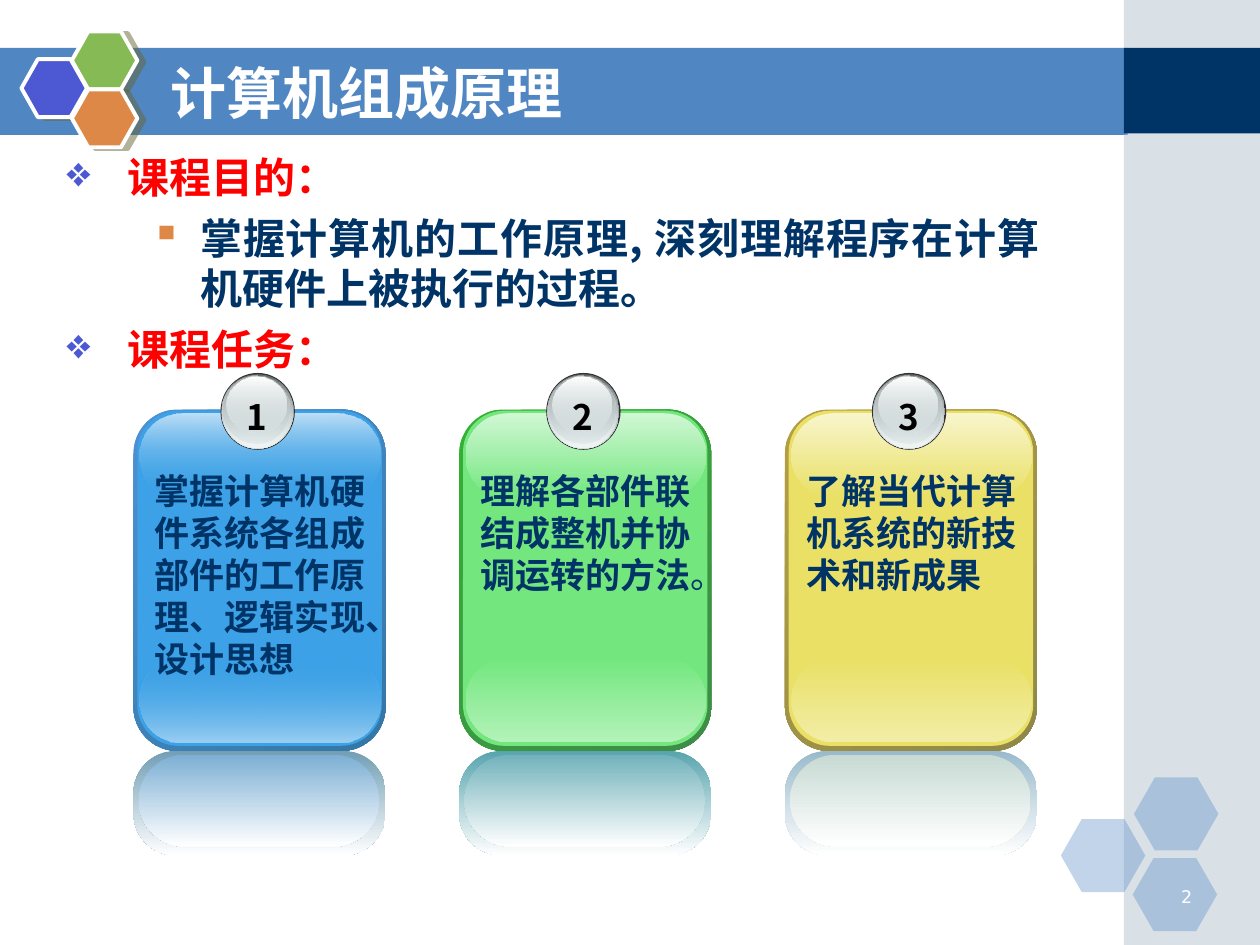
"""Build the course-overview slide with three numbered glossy cards."""
from typing import NamedTuple, Optional

import lxml.etree
import pptx
import pptx.dml.color
import pptx.enum.shapes
import pptx.enum.text
import pptx.oxml.ns
import pptx.util

Inches = pptx.util.Inches
Pt = pptx.util.Pt
qn = pptx.oxml.ns.qn
MSO = pptx.enum.shapes.MSO_SHAPE
ALIGN = pptx.enum.text.PP_ALIGN
ANCHOR = pptx.enum.text.MSO_ANCHOR

CJK = "Noto Sans CJK SC"
COLORS = {
    "white": "FFFFFF", "black": "000000", "navy": "003366", "red": "FF0000",
    "band": "5086C2", "side": "A0B5C4", "indigo": "4C59D2", "green": "85BA54",
    "orange": "DE8848", "shadow": "666633", "rim": "333333", "steel": "636869",
    "silver": "D6E1E2", "pale": "F1F5F5", "gray": "AAB2B3",
}


class Stop(NamedTuple):
    color: str
    alpha: int = 100


class Card(NamedTuple):
    number: str
    text: str
    edge: tuple[str, str]
    face: str
    top: str
    bottom: str
    mirror: tuple[str, str]
    fade: int = 100
    ending: str = ""


class Disc(NamedTuple):
    box: tuple[float, float, float, float]
    stops: tuple[Stop, ...]


class Item(NamedTuple):
    text: str
    color: str
    bullet: str
    bullet_color: str
    margin: float
    hanging: float
    level: int = 0


CARDS = [
    Card("1", "掌握计算机硬件系统各组成部件的工作原理、逻辑实现、设计思想",
         ("4E91D4", "3477A4"), "3CA1E6", "BEE0F7", "9BCFF2", ("729EB4", "7DAFD4"), fade=0),
    Card("2", "理解各部件联结成整机并协调运转的方法",
         ("34B034", "3F8B4A"), "73E77E", "D0F7D4", "B3F2B9", ("58A4AE", "72B2BB"), ending="。"),
    Card("3", "了解当代计算机系统的新技术和新成果",
         ("B59F43", "8F8849"), "E9E065", "F8F5CC", "F2EDA6", ("99BACC", "C8DAD4")),
]
DISCS = [
    Disc((0.69, 2.96, 0.59, 0.61), (Stop(COLORS["rim"]),)),
    Disc((0.7, 2.97, 0.57, 0.59), (Stop(COLORS["steel"]), Stop(COLORS["silver"]))),
    Disc((0.7, 2.97, 0.56, 0.58), (Stop(COLORS["silver"], 0), Stop(COLORS["pale"]))),
    Disc((0.71, 2.98, 0.53, 0.54), (Stop(COLORS["gray"]), Stop(COLORS["silver"], 48))),
    Disc((0.74, 2.99, 0.47, 0.44), (Stop(COLORS["white"]), Stop(COLORS["silver"], 38))),
]
ITEMS = [
    Item("课程目的：", "red", "❖", "indigo", 0.48, 0.48),
    Item("掌握计算机的工作原理, 深刻理解程序在计算机硬件上被执行的过程。",
         "navy", "▪", "orange", 1.06, 0.39, 1),
    Item("课程任务：", "red", "❖", "indigo", 0.48, 0.48),
]
CARD_LEFT, CARD_PITCH = 1.06, 2.585


def rgb(color: str) -> pptx.dml.color.RGBColor:
    return pptx.dml.color.RGBColor.from_string(color)


def add_child(parent, tag: str, **attrs: str):
    return lxml.etree.SubElement(parent, qn(tag), attrs)


def add_shape(s, kind, box, *stops: Stop, angle: int = 90,
              adj: Optional[float] = None, line: Optional[str] = None):
    """Add a preset shape filled with one colour or a two-stop gradient."""
    sp = s.shapes.add_shape(kind, *map(Inches, box))
    sp.shadow.inherit = False
    if adj is not None:
        sp.adjustments[0] = adj
    if len(stops) == 1:
        sp.fill.solid()
        sp.fill.fore_color.rgb = rgb(stops[0].color)
    else:
        sp.fill.gradient()
        sp.fill.gradient_angle = 360 - angle
        for target, stop in zip(sp.fill.gradient_stops, stops):
            target.color.rgb = rgb(stop.color)
    for node, stop in zip(list(sp._element.spPr.iter(qn("a:srgbClr"))), stops):
        if stop.alpha < 100:
            add_child(node, "a:alpha", val=str(stop.alpha * 1000))
    if line:
        sp.line.color.rgb = rgb(line)
        sp.line.width = Pt(2.25)
    else:
        sp.line.fill.background()
    return sp


def add_run(p, text: str, *, size: float = 20, color: str = "navy",
            bold: bool = True, font: str = CJK):
    r = p.add_run()
    r.text = text
    r.font.size, r.font.bold, r.font.name = Pt(size), bold, font
    r.font.color.rgb = rgb(COLORS[color])
    add_child(r._r.get_or_add_rPr(), "a:ea", typeface=font)
    return r


def add_text(s, box, text: str, *, align=ALIGN.LEFT, wrap: bool = True, **style):
    tf = s.shapes.add_textbox(*map(Inches, box)).text_frame
    tf.word_wrap = wrap
    p = tf.paragraphs[0]
    p.alignment = align
    add_run(p, text, **style)
    return p


def add_hexagon_shadow(sp) -> None:
    effects = sp._element.spPr.find(qn("a:effectLst"))
    shadow = add_child(effects, "a:outerShdw", blurRad="0", dist=str(Pt(4.1)),
                       dir=str(14 * 60000), algn="ctr", rotWithShape="0")
    add_child(add_child(shadow, "a:srgbClr", val=COLORS["shadow"]), "a:alpha", val="50000")


def add_background(s) -> None:
    add_shape(s, MSO.RECTANGLE, (0, 0.38, 8.95, 0.69), Stop(COLORS["band"]))
    add_shape(s, MSO.RECTANGLE, (8.92, 0, 1.08, 7.5), Stop(COLORS["side"], 40))
    add_shape(s, MSO.RECTANGLE, (8.92, 0.38, 1.08, 0.68), Stop(COLORS["navy"]))
    for left, top in ((8.42, 6.5), (9, 6.17), (8.99, 6.81)):
        add_shape(s, MSO.HEXAGON, (left, top, 0.67, 0.58), Stop(COLORS["band"], 35), adj=0.286)
    for left, top, color in ((0.17, 0.47, "indigo"), (0.57, 0.25, "green"), (0.57, 0.71, "orange")):
        add_hexagon_shadow(add_shape(s, MSO.HEXAGON, (left, top, 0.52, 0.46),
                                     Stop(COLORS[color]), adj=0.283, line=COLORS["white"]))


def add_title(s, text: str) -> None:
    title = s.shapes.title
    title._element.getparent().append(title._element)
    title.left, title.top, title.width, title.height = map(Inches, (1.25, 0.42, 7.33, 0.62))
    title.text_frame.vertical_anchor = ANCHOR.MIDDLE
    p = title.text_frame.paragraphs[0]
    p.alignment = ALIGN.LEFT
    add_run(p, text, size=32, color="white")


def add_outline(s, items: list[Item]) -> None:
    tf = s.shapes.add_textbox(*map(Inches, (0.43, 1.15, 7.92, 1.85))).text_frame
    tf.word_wrap = True
    for i, item in enumerate(items):
        p = tf.add_paragraph() if i else tf.paragraphs[0]
        p.alignment, p.level = ALIGN.JUSTIFY, item.level
        if i:
            p.space_before = Pt(6)
        ppr = p._p.get_or_add_pPr()
        ppr.set("marL", str(Inches(item.margin)))
        ppr.set("indent", str(-Inches(item.hanging)))
        add_child(add_child(ppr, "a:buClr"), "a:srgbClr", val=COLORS[item.bullet_color])
        add_child(ppr, "a:buChar", char=item.bullet)
        add_run(p, item.text, size=24, color=item.color)


def add_card(s, card: Card, x: float) -> None:
    rounded = MSO.ROUNDED_RECTANGLE
    face, white = Stop(card.face), Stop(COLORS["white"])
    clear = Stop(card.face, card.fade)
    add_shape(s, rounded, (x, 3.25, 2, 2.71), *map(Stop, card.edge), angle=45, adj=0.175)
    add_shape(s, rounded, (x + 0.03, 3.26, 1.94, 2.66), face, adj=0.168)
    add_shape(s, rounded, (x + 0.05, 5.22, 1.91, 0.67), clear, Stop(card.bottom), adj=0.5)
    add_shape(s, rounded, (x + 0.05, 3.28, 1.91, 0.67), Stop(card.top), clear, adj=0.5)
    add_shape(s, rounded, (x, 5.96, 2, 0.83), Stop(card.mirror[0]), white, adj=0.404)
    add_shape(s, rounded, (x + 0.04, 5.99, 1.91, 0.73), Stop(card.mirror[1]), white, adj=0.5)
    for disc in DISCS:
        left, *rest = disc.box
        add_shape(s, MSO.OVAL, (x + left, *rest), *disc.stops)
    add_text(s, (x + 0.8, 3.09, 0.36, 0.44), card.number,
             align=ALIGN.CENTER, wrap=False, color="black")
    p = add_text(s, (x + 0.07, 3.68, 1.91, 1.77), card.text)
    if card.ending:
        add_run(p, card.ending, bold=False)


def main() -> None:
    prs = pptx.Presentation()
    prs.slide_width, prs.slide_height = Inches(10), Inches(7.5)
    s = prs.slides.add_slide(prs.slide_layouts[5])
    add_background(s)
    add_text(s, (9.06, 6.98, 0.5, 0.25), "2", align=ALIGN.RIGHT,
             size=10, color="white", bold=False, font="DejaVu Sans")
    add_title(s, "计算机组成原理")
    add_outline(s, ITEMS)
    for i, card in enumerate(CARDS):
        add_card(s, card, CARD_LEFT + i * CARD_PITCH)
    prs.save("out.pptx")


if __name__ == "__main__":
    main()
